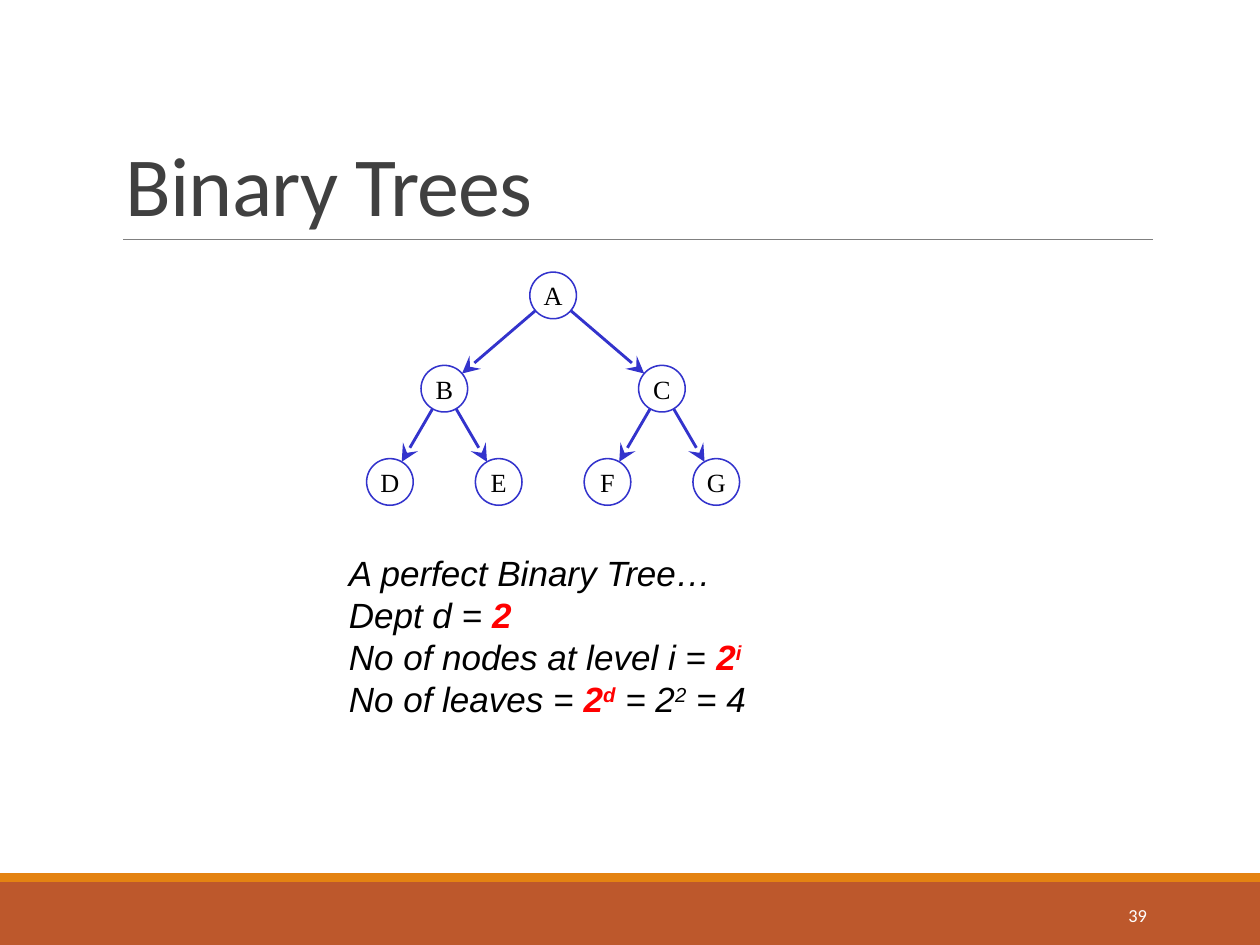
import math
from lxml import etree
from pptx import Presentation, util as u
from pptx.dml.color import RGBColor
from pptx.enum import shapes, text
from pptx.oxml import ns

BROWN = RGBColor(0xBD, 0x58, 0x2C)
ORANGE = RGBColor(0xE4, 0x83, 0x12)
GREY = RGBColor(0x80, 0x80, 0x80)
DARK = RGBColor(0x40, 0x40, 0x40)
BLUE = RGBColor(0x33, 0x33, 0xCC)
BLACK = RGBColor(0, 0, 0)
RED = RGBColor(0xFF, 0, 0)
WHITE = RGBColor(0xFF, 0xFF, 0xFF)

SLIDE_W, SLIDE_H = 10, 7.5
LEVELS = ["A", "BC", "DEFG"]
NODE = 0.37
FACTS = [
    [("A perfect Binary Tree…", "plain")],
    [("Dept d = ", "plain"), ("2", "key")],
    [("No of nodes at level i = ", "plain"), ("2", "key"), ("i", "key sup")],
    [("No of leaves = ", "plain"), ("2", "key"), ("d", "key sup"),
     (" = 2", "plain"), ("2", "plain sup"), (" = 4", "plain")],
]


def add_run(p, words, name, size, color):
    r = p.add_run()
    r.text = words
    r.font.name, r.font.size = name, u.Pt(size)
    r.font.color.rgb = color
    return r


def add_text(s, box, anchor=text.MSO_ANCHOR.TOP, wrap=True):
    tf = s.shapes.add_textbox(*map(u.Inches, box)).text_frame
    tf.word_wrap, tf.vertical_anchor = wrap, anchor
    return tf


def add_line(s, start, end, color, width):
    c = s.shapes.add_connector(shapes.MSO_CONNECTOR.STRAIGHT,
                               *map(u.Inches, (*start, *end)))
    c.line.color.rgb, c.line.width = color, u.Pt(width)
    etree.SubElement(c._element.spPr, ns.qn("a:effectLst"))
    return c


def add_bar(s, box, color):
    sp = s.shapes.add_shape(shapes.MSO_SHAPE.RECTANGLE, *map(u.Inches, box))
    sp.shadow.inherit = False
    sp.fill.solid()
    sp.fill.fore_color.rgb = color
    sp.line.fill.background()


def add_title(s, box):
    left, top, width, height = box
    p = add_text(s, box, text.MSO_ANCHOR.BOTTOM).paragraphs[0]
    p.line_spacing = 0.85
    r = add_run(p, "Binary Trees", "Calibri", 48, DARK)
    r._r.get_or_add_rPr().set("spc", "-50")
    base = top + height
    add_line(s, (left + 0.08, base), (left + width, base), GREY, 0.5)


def add_footer(s, box):
    left, top, width, height = box
    add_bar(s, (left, top + 0.07, width, height - 0.07), BROWN)
    add_bar(s, (left, top, width, 0.07), ORANGE)
    tf = add_text(s, (left + 0.812 * width, top + 0.13, 1.08, 0.4),
                  text.MSO_ANCHOR.MIDDLE)
    p = tf.paragraphs[0]
    p.alignment = text.PP_ALIGN.RIGHT
    add_run(p, "39", "Calibri", 10.5, WHITE)


def add_node(s, letter, center):
    x, y = center
    sp = s.shapes.add_shape(shapes.MSO_SHAPE.OVAL, *map(
        u.Inches, (x - NODE / 2, y - NODE / 2, NODE, NODE)))
    sp.shadow.inherit = False
    sp.fill.background()
    sp.line.color.rgb, sp.line.width = BLUE, u.Pt(0.88)
    tf = sp.text_frame
    tf.margin_left = tf.margin_right = tf.margin_top = tf.margin_bottom = 0
    tf.word_wrap, tf.vertical_anchor = False, text.MSO_ANCHOR.MIDDLE
    p = tf.paragraphs[0]
    p.alignment = text.PP_ALIGN.CENTER
    add_run(p, letter, "Times New Roman", 15, BLACK)


def add_edge(s, parent, child):
    (x1, y1), (x2, y2) = parent, child
    share = NODE / 2 / math.dist(parent, child)
    dx, dy = (x2 - x1) * share, (y2 - y1) * share
    c = add_line(s, (x1 + dx, y1 + dy), (x2 - dx, y2 - dy), BLUE, 1.63)
    etree.SubElement(c.line._get_or_add_ln(), ns.qn("a:tailEnd"),
                     type="stealth", w="lg", len="lg")


def add_tree(s, box):
    left, top, width, height = box
    pitch = (width - NODE) / (len(LEVELS[-1]) - 1)
    step = (height - NODE) / (len(LEVELS) - 1)
    parents = []
    for level, letters in enumerate(LEVELS):
        span = len(LEVELS[-1]) / len(letters)
        centers = [(left + NODE / 2 + pitch * ((i + 0.5) * span - 0.5),
                    top + NODE / 2 + step * level)
                   for i in range(len(letters))]
        for i, (letter, center) in enumerate(zip(letters, centers)):
            add_node(s, letter, center)
            if parents:
                add_edge(s, parents[i // 2], center)
        parents = centers


def add_facts(s, box):
    tf = add_text(s, box, wrap=False)
    for i, fact in enumerate(FACTS):
        p = tf.add_paragraph() if i else tf.paragraphs[0]
        for words, style in fact:
            key = "key" in style
            r = add_run(p, words, "Arial", 20, RED if key else BLACK)
            r.font.italic, r.font.bold = True, key
            if "sup" in style:
                r._r.get_or_add_rPr().set("baseline", "30000")


def main():
    prs = Presentation()
    prs.slide_width, prs.slide_height = u.Inches(SLIDE_W), u.Inches(SLIDE_H)
    s = prs.slides.add_slide(prs.slide_layouts[6])
    add_footer(s, (0, 6.93, SLIDE_W, SLIDE_H - 6.93))
    add_title(s, (0.9, 0.31, 8.25, 1.59))
    add_tree(s, (2.91, 2.16, 2.96, 1.85))
    add_facts(s, (2.67, 4.33, 3.4, 1.78))
    prs.save("out.pptx")


if __name__ == "__main__":
    main()
